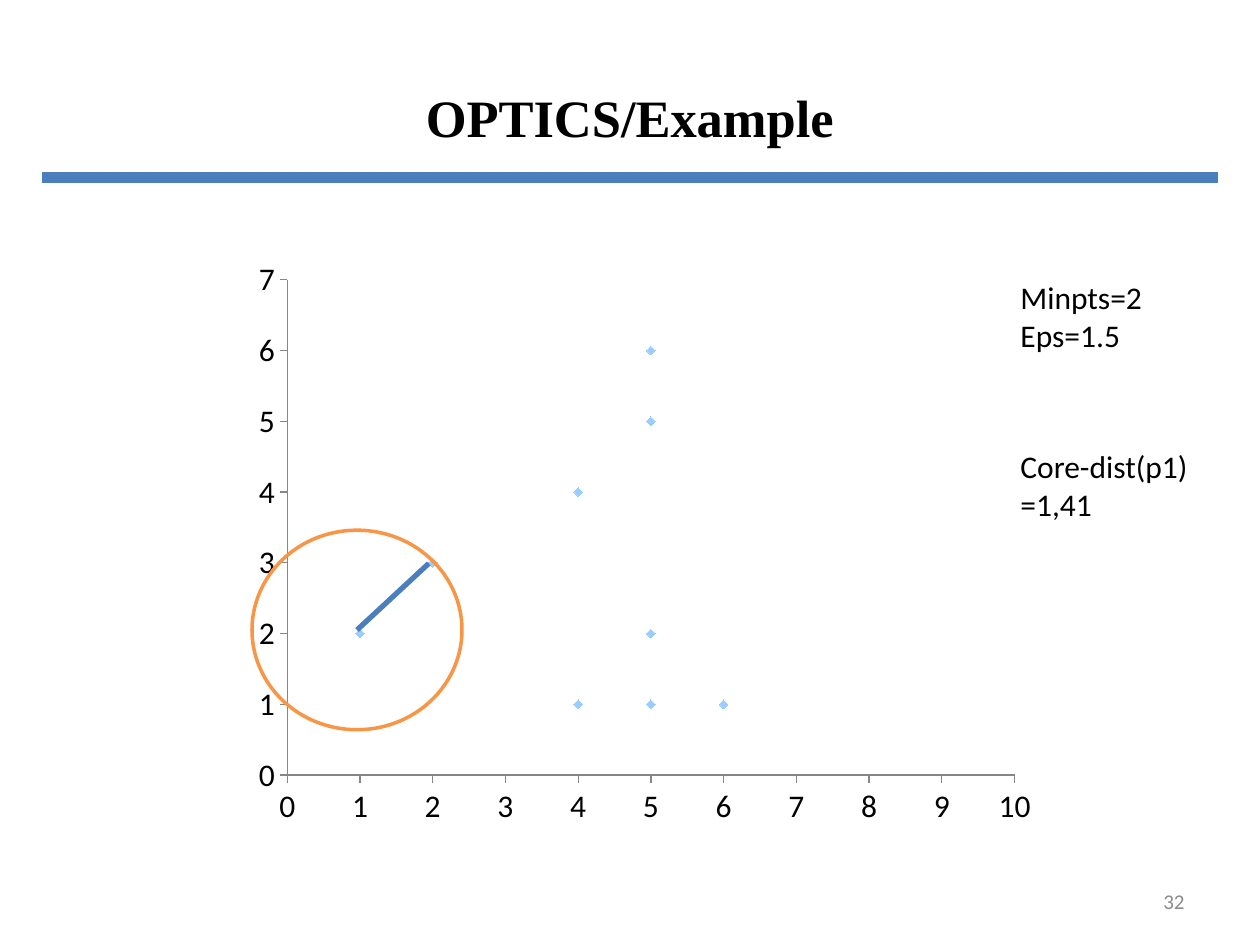
from pptx import Presentation
from pptx.chart.data import XyChartData
from pptx.dml.color import RGBColor
from pptx.enum.chart import XL_CHART_TYPE as Chart, XL_MARKER_STYLE as Mark, XL_TICK_MARK as Tick
from pptx.enum.shapes import MSO_CONNECTOR as Conn, MSO_SHAPE as Shape
from pptx.enum.text import MSO_ANCHOR as Anchor, PP_ALIGN as Align
from pptx.oxml import parse_xml
from pptx.oxml.ns import nsdecls, qn
from pptx.util import Pt

BLACK = RGBColor(0x00, 0x00, 0x00)
GREY = RGBColor(0x8C, 0x8C, 0x8C)
AXIS = RGBColor(0x86, 0x86, 0x86)
BLUE = RGBColor(0x4B, 0x7E, 0xBC)
SKY = RGBColor(0x99, 0xCC, 0xFF)
ORANGE = RGBColor(0xF7, 0x96, 0x46)

POINTS = [(1, 2), (2, 3), (4, 1), (4, 4), (5, 2), (5, 5), (5, 6), (6, 1), (5, 1)]


class Page:
    font = "Calibri"
    size = 18

    def __init__(self, deck):
        self.shapes = deck.slides.add_slide(deck.slide_layouts[6]).shapes

    def set_font(self, font, size=None, color=BLACK, name=None, bold=False):
        font.name = name or self.font
        font.size = Pt(size or self.size)
        font.bold = bold
        font.color.rgb = color

    def text(self, box, lines, align=Align.LEFT, anchor=Anchor.TOP, **style):
        frame = self.shapes.add_textbox(*map(Pt, box)).text_frame
        frame.word_wrap = True
        frame.vertical_anchor = anchor
        frame.text = "\n".join(lines)
        for par in frame.paragraphs:
            par.alignment = align
            self.set_font(par.font, **style)

    def line(self, start, end, width):
        line = self.shapes.add_connector(Conn.STRAIGHT, *map(Pt, start + end))
        line.line.color.rgb = BLUE
        line.line.width = Pt(width)
        line._element.spPr.append(parse_xml(f"<a:effectLst {nsdecls('a')}/>"))

    def ring(self, box):
        ring = self.shapes.add_shape(Shape.OVAL, *map(Pt, box))
        ring.shadow.inherit = False
        ring.fill.background()
        ring.line.color.rgb = ORANGE
        ring.line.width = Pt(2)

    def scatter(self, box, points, tops, plot):
        data = XyChartData()
        series = data.add_series("Series 1")
        for x, y in points:
            series.add_data_point(x, y)
        chart = self.shapes.add_chart(Chart.XY_SCATTER, *map(Pt, box), data).chart
        chart.has_legend = chart.has_title = False
        self.set_font(chart.font)
        chart.plots[0].vary_by_categories = False

        # Point markers only
        series = chart.plots[0].series[0]
        series.smooth = False
        series.format.line.fill.background()
        series.marker.style = Mark.DIAMOND
        series.marker.size = 5
        series.marker.format.fill.solid()
        series.marker.format.fill.fore_color.rgb = SKY
        series.marker.format.line.color.rgb = SKY

        # Axes
        for axis, top in zip((chart.category_axis, chart.value_axis), tops):
            axis.minimum_scale, axis.maximum_scale = 0, top
            axis.major_unit = 1
            axis.has_major_gridlines = False
            axis.major_tick_mark, axis.minor_tick_mark = Tick.OUTSIDE, Tick.NONE
            axis.tick_labels.number_format = "General"
            axis.tick_labels.number_format_is_linked = False
            axis.format.line.color.rgb = AXIS

        # Inner plot area, as shares of the chart
        area = chart._chartSpace.find(".//" + qn("c:plotArea"))
        for old in area.findall(qn("c:layout")):
            area.remove(old)
        parts = "".join(f'<c:{key} val="{val}"/>' for key, val in zip("xywh", plot))
        area.insert(0, parse_xml(
            f"<c:layout {nsdecls('c')}><c:manualLayout>"
            '<c:layoutTarget val="inner"/><c:xMode val="edge"/><c:yMode val="edge"/>'
            f"{parts}</c:manualLayout></c:layout>"))


def main():
    deck = Presentation()
    deck.slide_width, deck.slide_height = Pt(720), Pt(540)
    page = Page(deck)

    # Title, rule and page number
    page.text((36, 21.6, 648, 90), ["OPTICS/Example"], Align.CENTER, Anchor.MIDDLE,
              size=30, name="Times New Roman", bold=True)
    page.text((516, 500.5, 168, 28.75), ["32"], Align.RIGHT, Anchor.MIDDLE,
              size=12, color=GREY)
    page.line((24, 101.5), (696, 101.5), 6)

    # Points with the core distance and its reach
    page.scatter((120, 144, 480, 339), POINTS, (10, 7), (0.092, 0.047, 0.866, 0.835))
    page.line((204, 360), (245, 322), 3)
    page.ring((144, 303, 120, 114))

    # Settings and result
    page.text((576, 155.5, 96, 51), ["Minpts=2", "Eps=1.5"])
    page.text((576, 252, 132, 51), ["Core-dist(p1) =1,41"])

    deck.save("out.pptx")


if __name__ == "__main__":
    main()
